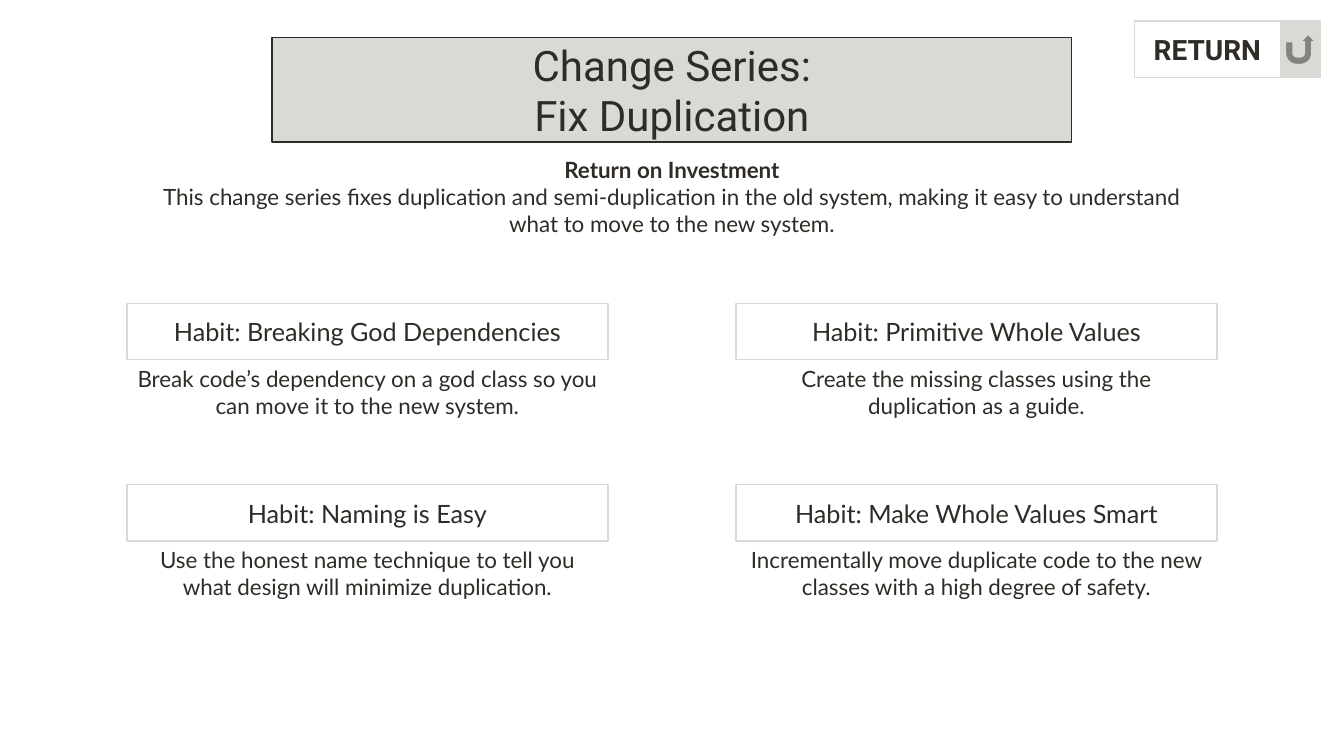
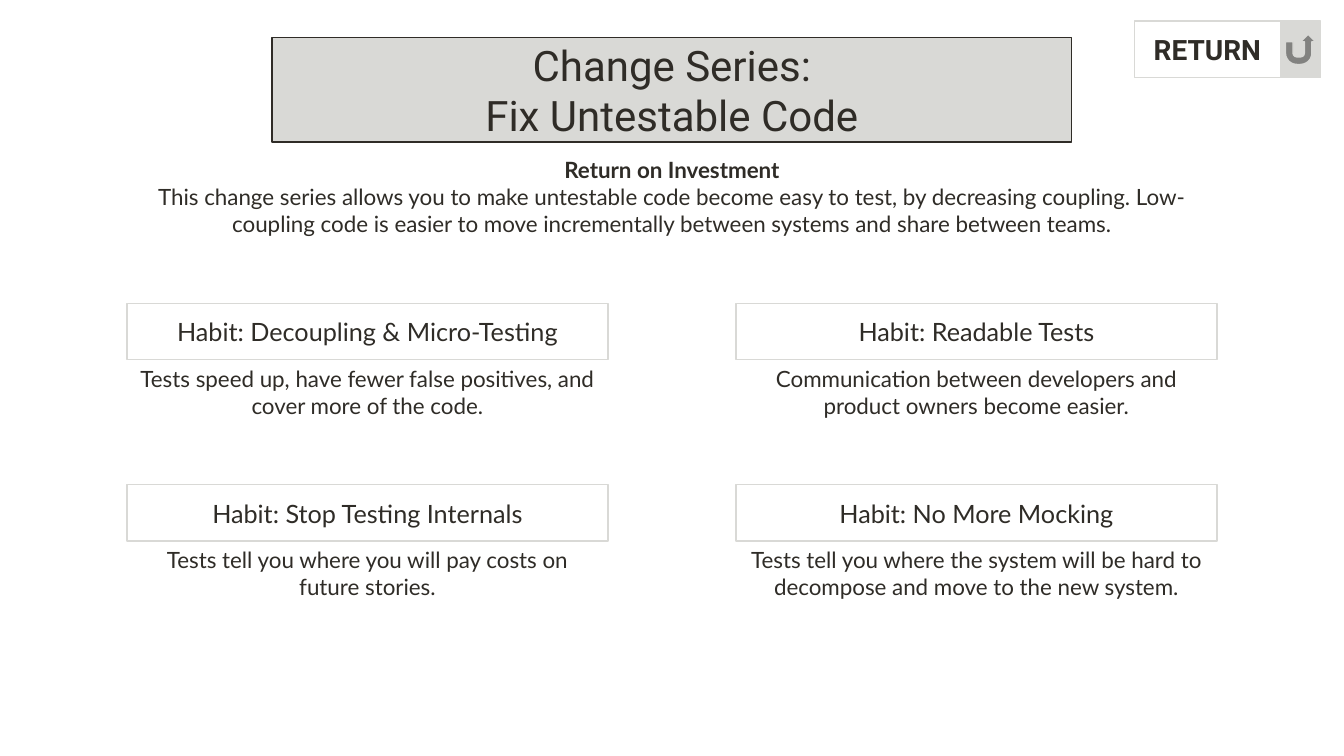
"""Build two change series slides, each with four habits and a return button."""
from pptx import Presentation
from pptx.dml.color import RGBColor
from pptx.enum.shapes import MSO_SHAPE
from pptx.enum.text import MSO_ANCHOR, MSO_AUTO_SIZE, PP_ALIGN
from pptx.util import Pt

PX = 9144
SLIDE_WIDTH, SLIDE_HEIGHT = 1333, 750
BLANK_LAYOUT = 6

INK = RGBColor(0x2F, 0x2C, 0x27)
STONE = RGBColor(0xD9, 0xD9, 0xD6)
HEADING_FONT = "Roboto"
BODY_FONT = "Lato"

RECTANGLE = MSO_SHAPE.RECTANGLE
RETURN_BUTTON = MSO_SHAPE.ACTION_BUTTON_RETURN
CENTER = PP_ALIGN.CENTER
TOP, MIDDLE = MSO_ANCHOR.TOP, MSO_ANCHOR.MIDDLE
GROW = MSO_AUTO_SIZE.SHAPE_TO_FIT_TEXT

GRID_LEFT, GRID_TOP = 126, 301
COLUMN_STEP, ROW_STEP = 604, 180
HABIT_WIDTH, HABIT_HEIGHT, DETAIL_HEIGHT = 477, 56, 64
BUTTON_LEFT, BUTTON_TOP, BUTTON_HEIGHT = 1125, 21, 56
LABEL_WIDTH, ICON_WIDTH = 145, 40

SERIES = [
    (
        "Fix Duplication",
        "This change series fixes duplication and semi-duplication in the old system, "
        "making it easy to understand what to move to the new system.",
        [
            ("Breaking God Dependencies",
             "Break code’s dependency on a god class so you can move it to the new system."),
            ("Primitive Whole Values",
             "Create the missing classes using the duplication as a guide."),
            ("Naming is Easy",
             "Use the honest name technique to tell you what design will minimize duplication."),
            ("Make Whole Values Smart",
             "Incrementally move duplicate code to the new classes with a high degree of safety."),
        ],
    ),
    (
        "Fix Untestable Code",
        "This change series allows you to make untestable code become easy to test, "
        "by decreasing coupling. Low-coupling code is easier to move incrementally "
        "between systems and share between teams.",
        [
            ("Decoupling & Micro-Testing",
             "Tests speed up, have fewer false positives, and cover more of the code."),
            ("Readable Tests",
             "Communication between developers and product owners become easier."),
            ("Stop Testing Internals",
             "Tests tell you where you will pay costs on future stories."),
            ("No More Mocking",
             "Tests tell you where the system will be hard to decompose and move to the new system."),
        ],
    ),
]


def to_emu(*lengths):
    """Turn px lengths into EMU."""
    return [length * PX for length in lengths]


def write_text(shape, *lines, size, font=BODY_FONT, bold_lines=0, anchor=MIDDLE):
    """Write centred lines into a shape, the first bold_lines of them bold."""
    frame = shape.text_frame
    frame.word_wrap = True
    frame.vertical_anchor = anchor
    for index, line in enumerate(lines):
        paragraph = frame.add_paragraph() if index else frame.paragraphs[0]
        paragraph.alignment = CENTER
        run = paragraph.add_run()
        run.text = line
        run.font.name = font
        run.font.size = Pt(size)
        run.font.bold = index < bold_lines
        run.font.color.rgb = INK


def add_box(shapes, left, top, width, height, kind=RECTANGLE, fill=None, line=STONE):
    """Add an outlined preset shape, unfilled unless a fill is given."""
    shape = shapes.add_shape(kind, *to_emu(left, top, width, height))
    shape.shadow.inherit = False
    if fill is None:
        shape.fill.background()
    else:
        shape.fill.solid()
        shape.fill.fore_color.rgb = fill
    shape.line.color.rgb = line
    shape.line.width = Pt(1)
    return shape


def add_body_text(shapes, left, top, width, height, *lines, bold_lines=0):
    """Add a growing text box in the body style."""
    box = shapes.add_textbox(*to_emu(left, top, width, height))
    write_text(box, *lines, size=16, bold_lines=bold_lines, anchor=TOP)
    box.text_frame.auto_size = GROW


def add_header(slide, title, benefit):
    """Add the title band and the return on investment below it."""
    band = add_box(slide.shapes, 270, 37, 793, 104, fill=STONE, line=INK)
    write_text(band, "Change Series:", title, size=30, font=HEADING_FONT)
    add_body_text(slide.shapes, 127, 150, 1079, 91,
                  "Return on Investment", benefit, bold_lines=1)


def add_return_button(slide):
    """Add the return label with its icon on the right."""
    label = add_box(slide.shapes, BUTTON_LEFT, BUTTON_TOP, LABEL_WIDTH, BUTTON_HEIGHT)
    write_text(label, "RETURN", size=20, font=HEADING_FONT, bold_lines=1)
    add_box(slide.shapes, BUTTON_LEFT + LABEL_WIDTH, BUTTON_TOP, ICON_WIDTH,
            BUTTON_HEIGHT, kind=RETURN_BUTTON, fill=STONE)


def add_habit(slide, left, top, name, detail):
    """Add a grouped habit box and its explanation."""
    shapes = slide.shapes.add_group_shape().shapes
    box = add_box(shapes, left, top, HABIT_WIDTH, HABIT_HEIGHT)
    write_text(box, f"Habit: {name}", size=18)
    add_body_text(shapes, left, top + HABIT_HEIGHT, HABIT_WIDTH, DETAIL_HEIGHT, detail)


def add_series_slide(presentation, title, benefit, habits):
    """Add one slide with its habits in a grid of two columns."""
    slide = presentation.slides.add_slide(presentation.slide_layouts[BLANK_LAYOUT])
    add_header(slide, title, benefit)
    add_return_button(slide)
    for index, (name, detail) in enumerate(habits):
        row, column = divmod(index, 2)
        add_habit(slide, GRID_LEFT + column * COLUMN_STEP,
                  GRID_TOP + row * ROW_STEP, name, detail)


def main():
    """Build and save the presentation."""
    presentation = Presentation()
    presentation.slide_width, presentation.slide_height = to_emu(SLIDE_WIDTH, SLIDE_HEIGHT)
    for title, benefit, habits in SERIES:
        add_series_slide(presentation, title, benefit, habits)
    presentation.save("out.pptx")


if __name__ == "__main__":
    main()
